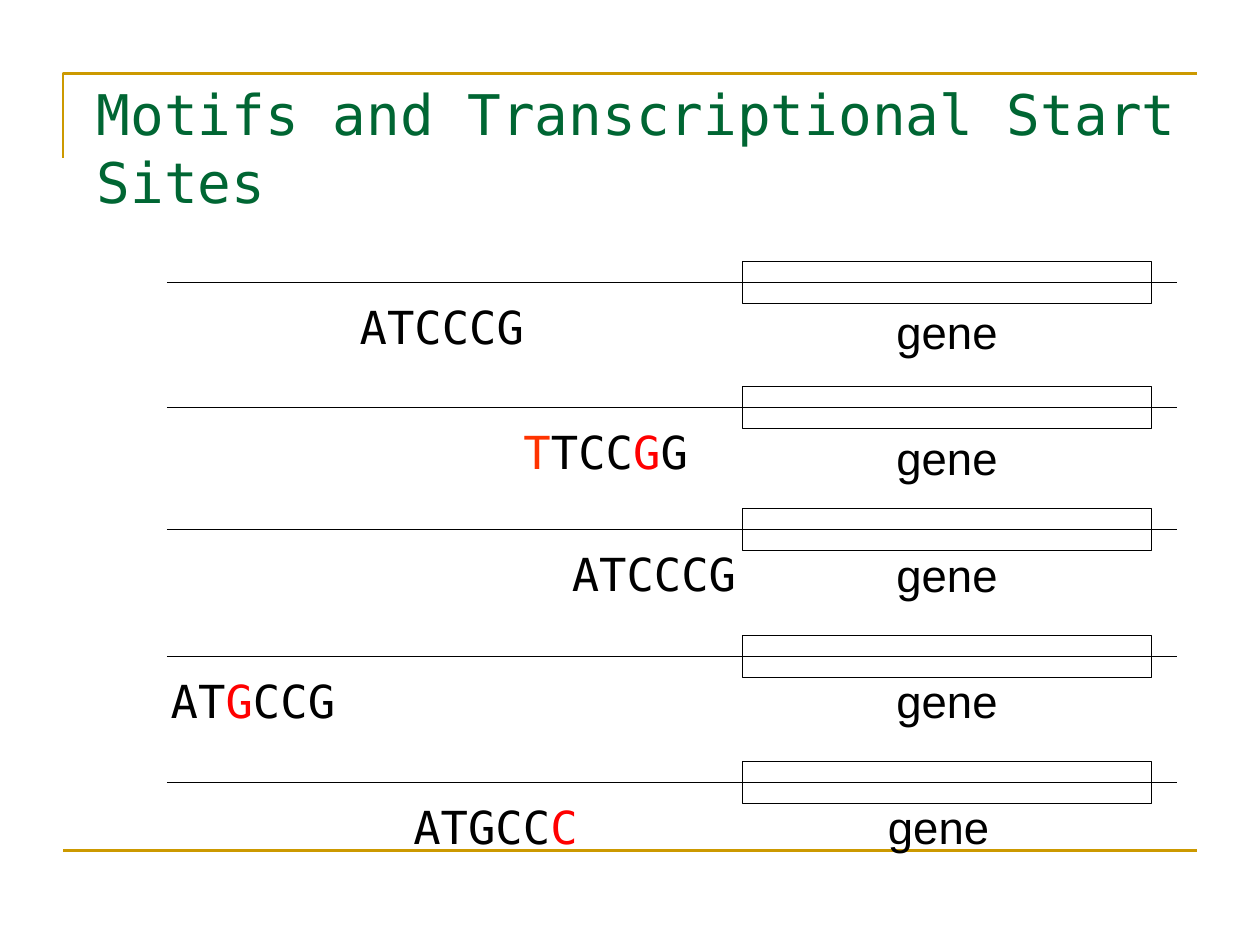
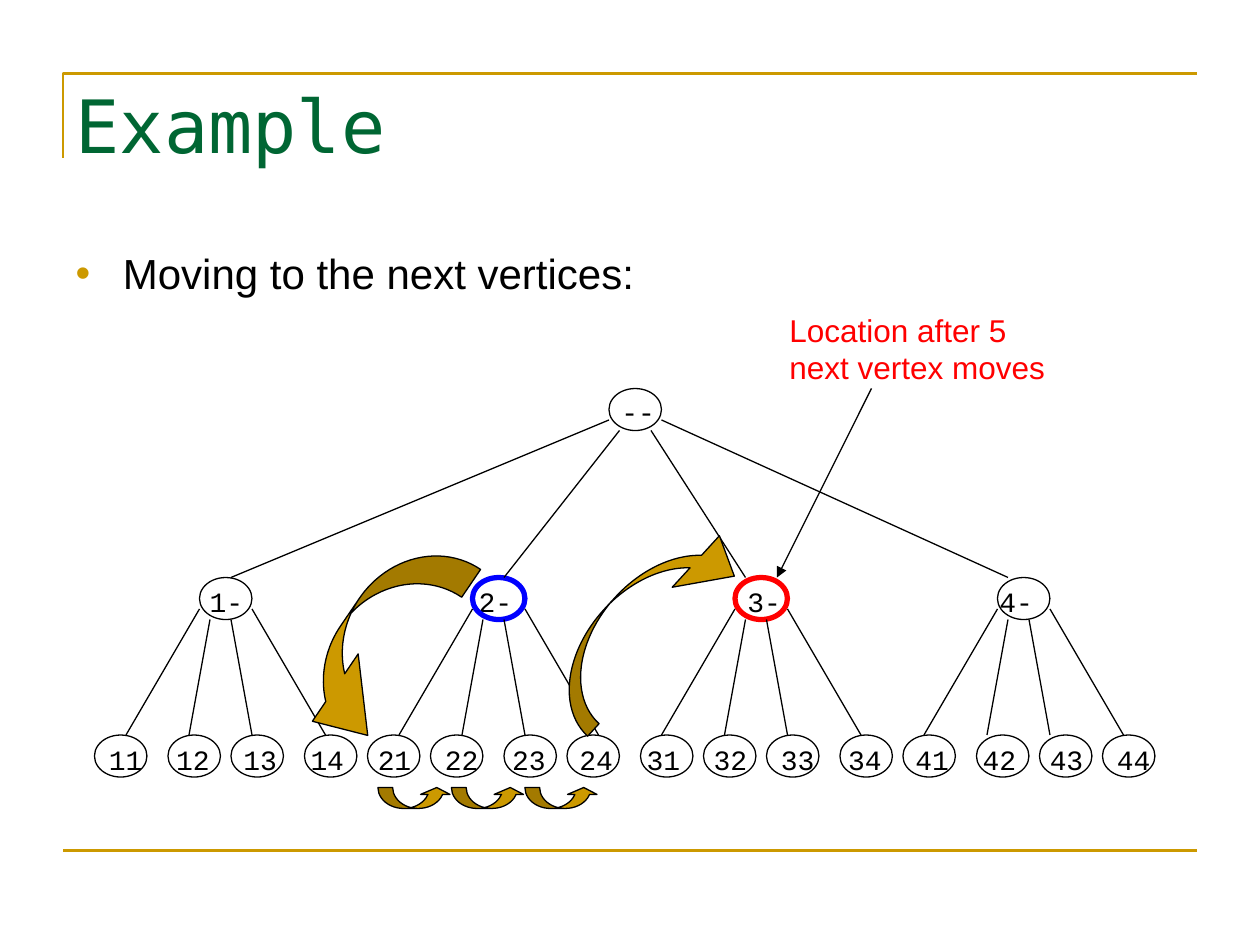
from lxml import etree
from pptx import Presentation
from pptx.dml.color import RGBColor
from pptx.enum.shapes import MSO_CONNECTOR, MSO_SHAPE as SHAPE
from pptx.enum.text import MSO_ANCHOR as ANCHOR, MSO_AUTO_SIZE as AUTO_SIZE, PP_ALIGN as ALIGN
from pptx.oxml.ns import qn
from pptx.util import Emu, Pt

PX = 7620

GOLD = RGBColor(0xCC, 0x99, 0x00)
GREEN = RGBColor(0x00, 0x66, 0x33)
BLACK = RGBColor(0x00, 0x00, 0x00)
RED = RGBColor(0xFF, 0x00, 0x00)
ORANGE = RGBColor(0xFF, 0x33, 0x00)
BLUE = RGBColor(0x00, 0x00, 0xFF)

SANS = "Arial"
MONO = "DejaVu Sans Mono"
COURIER = "Courier New"

MOTIF_ROWS = [
    (269, 326, 837, 15, [("ATCCCG", BLACK)]),
    (388, 482, 837, 16, [("T", ORANGE), ("TCC", BLACK), ("G", RED), ("G", BLACK)]),
    (504, 528, 837, 11, [("ATCCCG", BLACK)]),
    (625, 146, 837, 10, [("AT", BLACK), ("G", RED), ("CCG", BLACK)]),
    (745, 377, 829, 10, [("ATGCC", BLACK), ("C", RED)]),
]

NODE_WIDTH, NODE_HEIGHT = 50, 40
PARENT_TOP, LEAF_TOP = 180, 330
ROOT_LEFT = 490
PARENTS = [(100, BLACK, 0.75), (360, BLUE, 3), (610, RED, 3), (860, BLACK, 0.75)]
LEAVES = [0, 70, 130, 200, 260, 320, 390, 450, 520, 580, 640, 710, 770, 840, 900, 960]
ROOT_PORTS = [(0, 30), (10, 40), (40, 40), (50, 30)]
PARENT_PORTS = [(0, 30), (10, 40), (30, 40), (50, 30)]
ROOT_ENDS = [130, 390, 620, 870]
LEAF_OFFSETS = [-70, -10, 50, 120]
DIGITS = "1234"
PARENT_NAME_LEFTS = [98, 354, 610, 850]
LEAF_NAME_LEFT, LEAF_NAME_STEP = 2, 64


def px(*lengths):
    """Turn pixel lengths into EMU."""
    return [Emu(round(length * PX)) for length in lengths]


def add_run(paragraph, text, font, size, color):
    """Append one formatted run."""
    run = paragraph.add_run()
    run.text = text
    run.font.name = font
    run.font.size = Pt(size)
    run.font.color.rgb = color


def add_line(slide, start, end, color=BLACK, width=0.75, arrow=False):
    """Draw a straight line, with an arrowhead at its end if asked."""
    line = slide.shapes.add_connector(MSO_CONNECTOR.STRAIGHT, *px(*start, *end))
    line.line.color.rgb = color
    line.line.width = Pt(width)
    properties = line._element.spPr
    if arrow:
        etree.SubElement(properties.find(qn("a:ln")), qn("a:tailEnd"), type="triangle")
    etree.SubElement(properties, qn("a:effectLst"))


def style_shape(shape, color=BLACK, width=0.75, fill=None):
    """Set outline and fill, without shadow."""
    shape.shadow.inherit = False
    shape.line.color.rgb = color
    shape.line.width = Pt(width)
    if fill is None:
        shape.fill.background()
    else:
        shape.fill.solid()
        shape.fill.fore_color.rgb = fill


def add_outline(slide, kind, box, color=BLACK, width=0.75):
    """Draw an unfilled preset shape."""
    style_shape(slide.shapes.add_shape(kind, *px(*box)), color, width)


def add_label(slide, box, runs, font, size, wrap=False, align=ALIGN.CENTER):
    """Add a text box made of coloured runs."""
    frame = slide.shapes.add_textbox(*px(*box)).text_frame
    frame.word_wrap = wrap
    paragraph = frame.paragraphs[0]
    paragraph.alignment = align
    for text, color in runs:
        add_run(paragraph, text, font, size, color)


def place(placeholder, box):
    """Move a placeholder to its box and return its text frame."""
    placeholder.left, placeholder.top, placeholder.width, placeholder.height = px(*box)
    frame = placeholder.text_frame
    frame.word_wrap = True
    frame.auto_size = AUTO_SIZE.NONE
    frame.vertical_anchor = ANCHOR.TOP
    return frame


def add_titled_slide(presentation, layout_index, title, box, size):
    """Add a slide with the shared title style and gold frame."""
    slide = presentation.slides.add_slide(presentation.slide_layouts[layout_index])
    paragraph = place(slide.shapes.title, box).paragraphs[0]
    paragraph.alignment = ALIGN.LEFT
    add_run(paragraph, title, MONO, size, GREEN)
    builder = slide.shapes.build_freeform(60, 150, scale=PX)
    builder.add_line_segments([(60, 70), (1140, 70)], close=False)
    style_shape(builder.convert_to_shape(), GOLD, 1.5)
    add_line(slide, (60, 810), (1140, 810), GOLD, 1.5)
    return slide


def add_motif_row(slide, line_top, motif_left, gene_left, gene_drop, motif):
    """Draw one DNA strand with its gene box and motif."""
    add_line(slide, (159, line_top), (1121, line_top))
    add_outline(slide, SHAPE.RECTANGLE, (707, line_top - 20, 390, 40))
    add_label(slide, (gene_left, line_top + gene_drop, 130, 65), [("gene", BLACK)], SANS, 26)
    add_label(slide, (motif_left, line_top + 10, 190, 65), motif, MONO, 26)


def build_motif_slide(presentation):
    """Build the slide of motifs and start sites."""
    slide = add_titled_slide(presentation, 5, "Motifs and Transcriptional Start Sites",
                             (80, 70, 1120, 200), 32)
    for row in MOTIF_ROWS:
        add_motif_row(slide, *row)


def fill_body(frame):
    """Write the sentence with its gold hanging bullet."""
    paragraph = frame.paragraphs[0]
    paragraph.space_before = Pt(6)
    properties = paragraph._p.get_or_add_pPr()
    properties.set("marL", "342900")
    properties.set("indent", "-342900")
    color = etree.SubElement(properties, qn("a:buClr"))
    etree.SubElement(color, qn("a:srgbClr"), val=str(GOLD))
    etree.SubElement(properties, qn("a:buFont"), typeface=SANS)
    etree.SubElement(properties, qn("a:buChar"), char="•")
    add_run(paragraph, "Moving to the next vertices:", SANS, 24, BLACK)


def add_name(slide, left, top, name):
    """Write the name of one vertex."""
    add_label(slide, (left, top, 60, 44), [(name, BLACK)], COURIER, 16, True, ALIGN.LEFT)


def add_names(slide, left, top):
    """Write the names of all vertices, evenly spaced within a row."""
    add_name(slide, left + ROOT_LEFT, top, "--")
    for digit, offset in zip(DIGITS, PARENT_NAME_LEFTS):
        add_name(slide, left + offset, top + PARENT_TOP + 1, digit + "-")
    leaf_names = [first + second for first in DIGITS for second in DIGITS]
    for index, name in enumerate(leaf_names):
        offset = LEAF_NAME_LEFT + LEAF_NAME_STEP * index
        add_name(slide, left + offset, top + LEAF_TOP + 1, name)


def add_node(slide, left, top, color=BLACK, width=0.75):
    """Draw one vertex of the tree."""
    add_outline(slide, SHAPE.OVAL, (left, top, NODE_WIDTH, NODE_HEIGHT), color, width)


def fan_out(slide, left, top, ports, ends, end_top):
    """Join the ports of a vertex to the tops of its children."""
    for (port_x, port_y), end in zip(ports, ends):
        add_line(slide, (left + port_x, top + port_y), (end, end_top))


def add_tree(slide, left, top):
    """Draw the tree of vertices and edges."""
    parent_top, leaf_top = top + PARENT_TOP, top + LEAF_TOP
    root_left = left + ROOT_LEFT
    add_names(slide, left, top)
    for leaf in LEAVES:
        add_node(slide, left + leaf, leaf_top)
    for offset, color, width in PARENTS:
        parent = left + offset
        add_node(slide, parent, parent_top, color, width)
        ends = [parent + leaf_offset for leaf_offset in LEAF_OFFSETS]
        fan_out(slide, parent, parent_top, PARENT_PORTS, ends, leaf_top)
    add_node(slide, root_left, top)
    fan_out(slide, root_left, top, ROOT_PORTS, [left + end for end in ROOT_ENDS], parent_top)


def add_curved_arrow(slide, kind, box, proportions, rotation=0):
    """Draw a gold curved arrow from its band, head width and head length."""
    shape = slide.shapes.add_shape(kind, *px(*box))
    style_shape(shape, fill=GOLD)
    shape.rotation = rotation
    for index, value in enumerate(proportions):
        shape.adjustments[index] = value


def add_moves(slide, left, top):
    """Draw the five moves between vertices."""
    add_curved_arrow(slide, SHAPE.CURVED_RIGHT_ARROW, (left, top, 80, 230),
                     (0.4, 0.97, 0.64), 34.2)
    for step in range(3):
        add_curved_arrow(slide, SHAPE.CURVED_UP_ARROW,
                         (left + 40 + 70 * step, top + 250, 70, 20), (0.7, 1.4, 0.33))
    add_curved_arrow(slide, SHAPE.CURVED_DOWN_ARROW, (left + 175, top + 54, 240, 70),
                     (0.23, 0.95, 0.52), 312.5)


def add_location_note(slide, left, top):
    """Write the red note and point it at its vertex."""
    add_label(slide, (left, top, 290, 84), [("Location after 5 next vertex moves", RED)],
              SANS, 18, True, ALIGN.LEFT)
    add_line(slide, (left + 90, top + 80), (left, top + 260), arrow=True)


def build_example_slide(presentation):
    """Build the slide of vertex moves."""
    slide = add_titled_slide(presentation, 1, "Example", (60, 70, 1080, 116), 42)
    fill_body(place(slide.placeholders[1], (60, 230, 1080, 595)))
    add_tree(slide, 90, 370)
    add_moves(slide, 320, 500)
    add_location_note(slide, 740, 290)


def main():
    """Build and save the presentation."""
    presentation = Presentation()
    presentation.slide_width, presentation.slide_height = px(1200, 900)
    build_motif_slide(presentation)
    build_example_slide(presentation)
    presentation.save("out.pptx")


if __name__ == "__main__":
    main()
